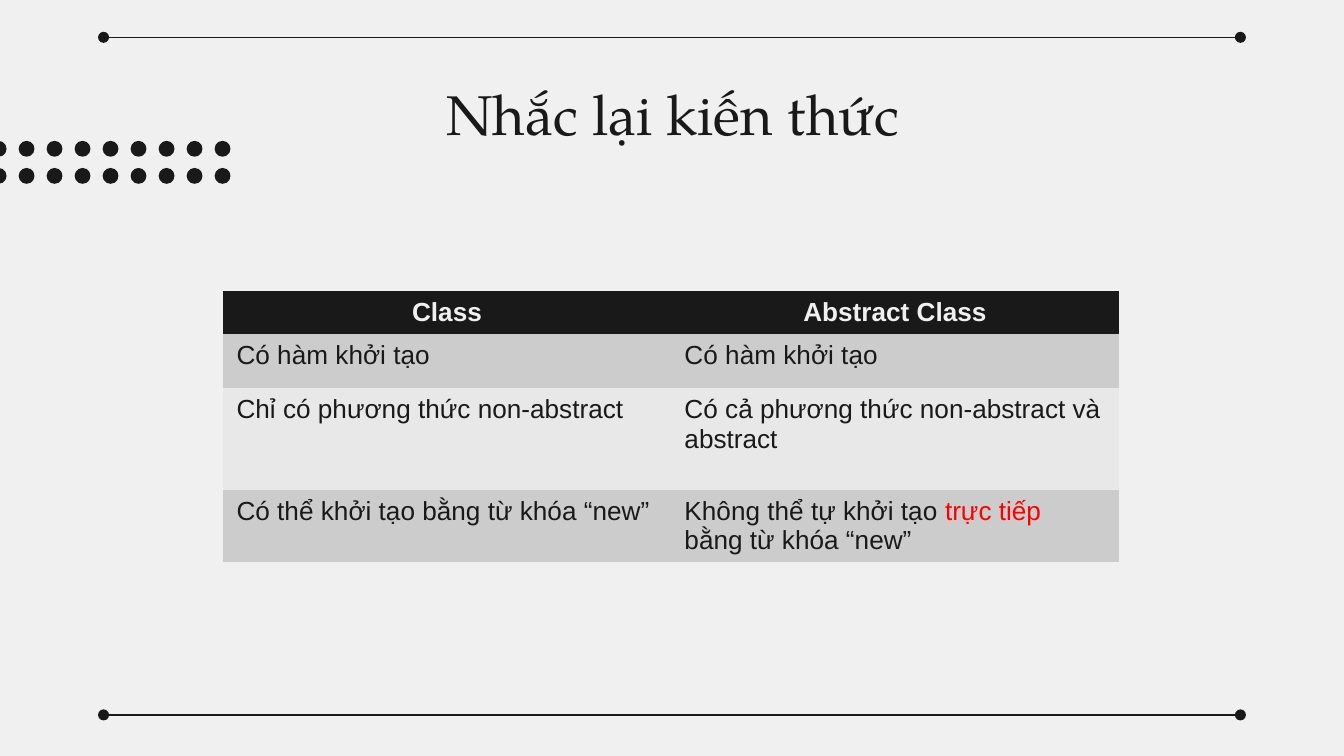
from lxml.etree import SubElement
from pptx import Presentation
from pptx.dml.color import RGBColor
from pptx.enum.shapes import MSO_CONNECTOR, MSO_SHAPE
from pptx.enum.text import MSO_ANCHOR, MSO_AUTO_SIZE, PP_ALIGN
from pptx.oxml.ns import qn
from pptx.util import Pt

INK = RGBColor(0x19, 0x19, 0x19)
PAPER = RGBColor(0xF0, 0xF0, 0xF0)
DARK_BAND = RGBColor(0xCC, 0xCC, 0xCC)
LIGHT_BAND = RGBColor(0xE8, 0xE8, 0xE8)
RED = RGBColor(0xFF, 0x00, 0x00)


def add_span(para, text, color, **formats):
    span = para.add_run()
    span.text = text
    span.font.color.rgb = color
    for name, value in formats.items():
        setattr(span.font, name, value)


deck = Presentation()
deck.slide_width, deck.slide_height = Pt(720), Pt(405)
page = deck.slides.add_slide(deck.slide_layouts[5])
page.background.fill.solid()
page.background.fill.fore_color.rgb = PAPER

# Title
title = page.shapes.title
title_place = {"left": Pt(57), "top": Pt(35.5), "width": Pt(607), "height": Pt(45)}
for name, value in title_place.items():
    setattr(title, name, value)
frame = title.text_frame
frame_format = {
    "margin_left": Pt(7.2), "margin_right": Pt(7.2),
    "margin_top": Pt(7.2), "margin_bottom": Pt(7.2),
    "vertical_anchor": MSO_ANCHOR.TOP,
    "auto_size": MSO_AUTO_SIZE.NONE, "word_wrap": True,
}
for name, value in frame_format.items():
    setattr(frame, name, value)
para = frame.paragraphs[0]
para.alignment = PP_ALIGN.CENTER
add_span(para, "Nhắc lại kiến thức", INK, name="TeX Gyre Pagella", size=Pt(30))

# Rules with round ends
for y in (20, 383):
    rule = page.shapes.add_connector(
        MSO_CONNECTOR.STRAIGHT, Pt(55.5), Pt(y), Pt(664.5), Pt(y))
    rule.line.color.rgb = INK
    rule.line.width = Pt(0.75)
    line = rule.line._get_or_add_ln()
    for end in ("a:headEnd", "a:tailEnd"):
        SubElement(line, qn(end), type="oval")
    SubElement(rule._element.spPr, qn("a:effectLst"))

# Dot grid running off the left edge
dots = page.shapes.add_group_shape()
for column in range(9):
    for y in (75.5, 90):
        dot = dots.shapes.add_shape(
            MSO_SHAPE.OVAL, Pt(-5 + 15 * column), Pt(y), Pt(8.5), Pt(8.5))
        dot.shadow.inherit = False
        dot.fill.solid()
        dot.fill.fore_color.rgb = INK
        dot.line.fill.background()

# Comparison table: each cell is a list of (text, colour) spans
rows = [
    (23, INK, [[("Class", PAPER)], [("Abstract Class", PAPER)]]),
    (29, DARK_BAND, [[("Có hàm khởi tạo", INK)], [("Có hàm khởi tạo", INK)]]),
    (54.5, LIGHT_BAND, [
        [("Chỉ có phương thức non-abstract", INK)],
        [("Có cả phương thức non-abstract và abstract", INK)]]),
    (38.5, DARK_BAND, [
        [("Có thể khởi tạo bằng từ khóa “new”", INK)],
        [("Không thể tự khởi tạo ", INK), ("trực tiếp ", RED),
         ("bằng từ khóa “new”", INK)]]),
]
table = page.shapes.add_table(
    len(rows), 2, Pt(119.5), Pt(156), Pt(480), Pt(145)).table
for row_index, (height, band, cells) in enumerate(rows):
    table.rows[row_index].height = Pt(height)
    is_header = row_index == 0
    for column_index, spans in enumerate(cells):
        cell = table.cell(row_index, column_index)
        cell.fill.solid()
        cell.fill.fore_color.rgb = band
        para = cell.text_frame.paragraphs[0]
        para.alignment = PP_ALIGN.CENTER if is_header else PP_ALIGN.LEFT
        for text, color in spans:
            add_span(para, text, color, name="Arial", size=Pt(14), bold=is_header)

# The default table style draws white borders
for cell in table.iter_cells():
    properties = cell._tc.get_or_add_tcPr()
    for index, side in enumerate(("a:lnL", "a:lnR", "a:lnT", "a:lnB")):
        border = SubElement(properties, qn(side), w="0")
        SubElement(border, qn("a:noFill"))
        properties.insert(index, border)

deck.save("out.pptx")
